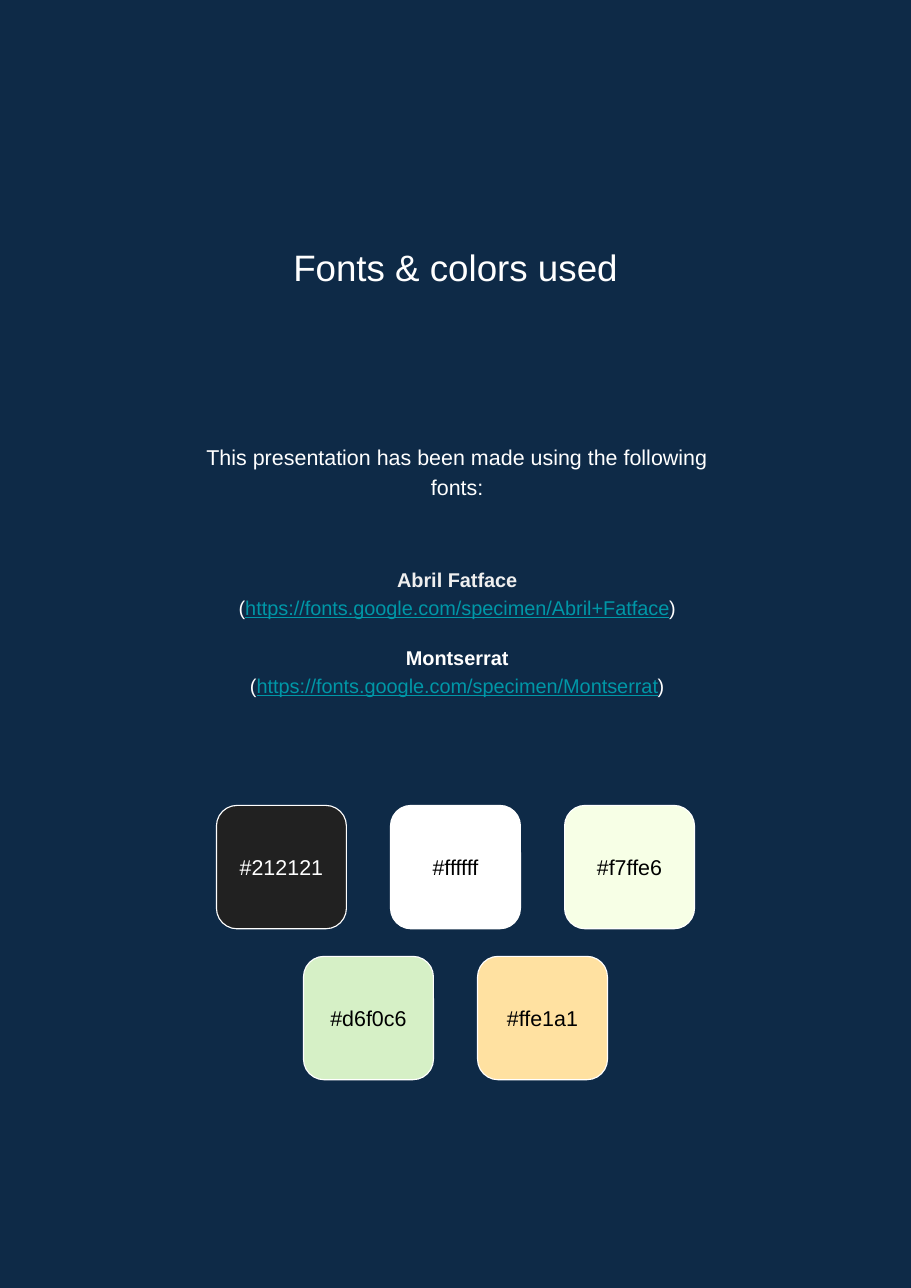
from dataclasses import dataclass

from pptx import Presentation
from pptx.dml.color import RGBColor
from pptx.enum.shapes import MSO_SHAPE as Shape
from pptx.enum.text import MSO_ANCHOR as Anchor, MSO_AUTO_SIZE as AutoSize, PP_ALIGN as Align
from pptx.util import Inches, Pt


@dataclass(frozen=True)
class Theme:
    font: str = "Arial"
    background: str = "0E2A47"
    light: str = "FFFFFF"
    dark: str = "000000"
    soft: str = "EFEFEF"
    link: str = "0097A7"
    title_size: int = 24
    body_size: int = 14
    list_size: int = 13
    line_spacing: float = 1.15


PAGE_WIDTH, PAGE_HEIGHT = 8.27, 11.69
SWATCH_WIDTH, SWATCH_HEIGHT = 1.18, 1.12
SWATCH_TOP = 7.31
COLUMN_STEP, ROW_STEP = 1.58, 1.37

FONT_LINKS = [
    ("Abril Fatface", "https://fonts.google.com/specimen/Abril+Fatface", "soft", 0),
    ("Montserrat", "https://fonts.google.com/specimen/Montserrat", "light", 15),
]
SWATCH_ROWS = [
    [("212121", "light"), ("FFFFFF", "dark"), ("F7FFE6", "dark")],
    [("D6F0C6", "dark"), ("FFE1A1", "dark")],
]


class FontsPage:
    def __init__(self, deck, theme):
        self.theme = theme
        self.slide = deck.slides.add_slide(deck.slide_layouts[5])
        fill = self.slide.background.fill
        fill.solid()
        fill.fore_color.rgb = RGBColor.from_string(theme.background)

    def place(self, shape, left, top, width, height):
        shape.left, shape.top = Inches(left), Inches(top)
        shape.width, shape.height = Inches(width), Inches(height)

    def frame(self, shape, anchor):
        frame = shape.text_frame
        frame.word_wrap = True
        frame.auto_size = AutoSize.NONE
        frame.vertical_anchor = anchor
        frame.margin_left = frame.margin_right = Inches(0.1)
        frame.margin_top = frame.margin_bottom = Inches(0.1)
        return frame

    def style(self, para, size, color, bold=False):
        para.alignment = Align.CENTER
        para.font.name = self.theme.font
        para.font.size = Pt(size)
        para.font.bold = bold
        para.font.color.rgb = RGBColor.from_string(color)

    def title(self, text, *area):
        title = self.slide.shapes.title
        self.place(title, *area)
        frame = self.frame(title, Anchor.TOP)
        frame.text = text
        self.style(frame.paragraphs[0], self.theme.title_size, self.theme.light)

    def text_box(self, anchor, *area):
        box = self.slide.shapes.add_textbox(*map(Inches, area))
        return self.frame(box, anchor)

    def intro(self, text, *area):
        para = self.text_box(Anchor.TOP, *area).paragraphs[0]
        para.text = text
        para.line_spacing = self.theme.line_spacing
        self.style(para, self.theme.body_size, self.theme.light)

    def font_list(self, entries, *area):
        theme = self.theme
        frame = self.text_box(Anchor.MIDDLE, *area)
        for index, (name, address, color, gap) in enumerate(entries):
            heading = frame.add_paragraph() if index else frame.paragraphs[0]
            heading.text = name
            heading.space_before = Pt(gap)
            heading.line_spacing = theme.line_spacing
            self.style(heading, theme.list_size, getattr(theme, color), bold=True)

            para = frame.add_paragraph()
            para.line_spacing = theme.line_spacing
            self.style(para, theme.list_size, theme.light)
            para.add_run().text = "("
            span = para.add_run()
            span.text = address
            span.font.underline = True
            span.font.color.rgb = RGBColor.from_string(theme.link)
            para.add_run().text = ")"

    def swatch(self, color, label_color, left, top):
        area = map(Inches, (left, top, SWATCH_WIDTH, SWATCH_HEIGHT))
        box = self.slide.shapes.add_shape(Shape.ROUNDED_RECTANGLE, *area)
        box.shadow.inherit = False
        box.fill.solid()
        box.fill.fore_color.rgb = RGBColor.from_string(color)
        box.line.color.rgb = RGBColor.from_string(self.theme.light)
        box.line.width = Pt(0.75)
        para = self.frame(box, Anchor.MIDDLE).paragraphs[0]
        para.text = f"#{color.lower()}"
        self.style(para, self.theme.body_size, getattr(self.theme, label_color))

    def palette(self, rows):
        for row, swatches in enumerate(rows):
            row_width = (len(swatches) - 1) * COLUMN_STEP + SWATCH_WIDTH
            left = (PAGE_WIDTH - row_width) / 2
            top = SWATCH_TOP + row * ROW_STEP
            for column, (color, label_color) in enumerate(swatches):
                self.swatch(color, label_color, left + column * COLUMN_STEP, top)


def main():
    deck = Presentation()
    deck.slide_width, deck.slide_height = Inches(PAGE_WIDTH), Inches(PAGE_HEIGHT)
    page = FontsPage(deck, Theme())
    page.title("Fonts & colors used", 0.95, 2.12, 6.37, 1.1)
    page.intro("This presentation has been made using the following fonts:", 1.51, 3.9, 5.28, 1)
    page.font_list(FONT_LINKS, 1.22, 4.3, 5.86, 2.85)
    page.palette(SWATCH_ROWS)
    deck.save("out.pptx")


if __name__ == "__main__":
    main()
